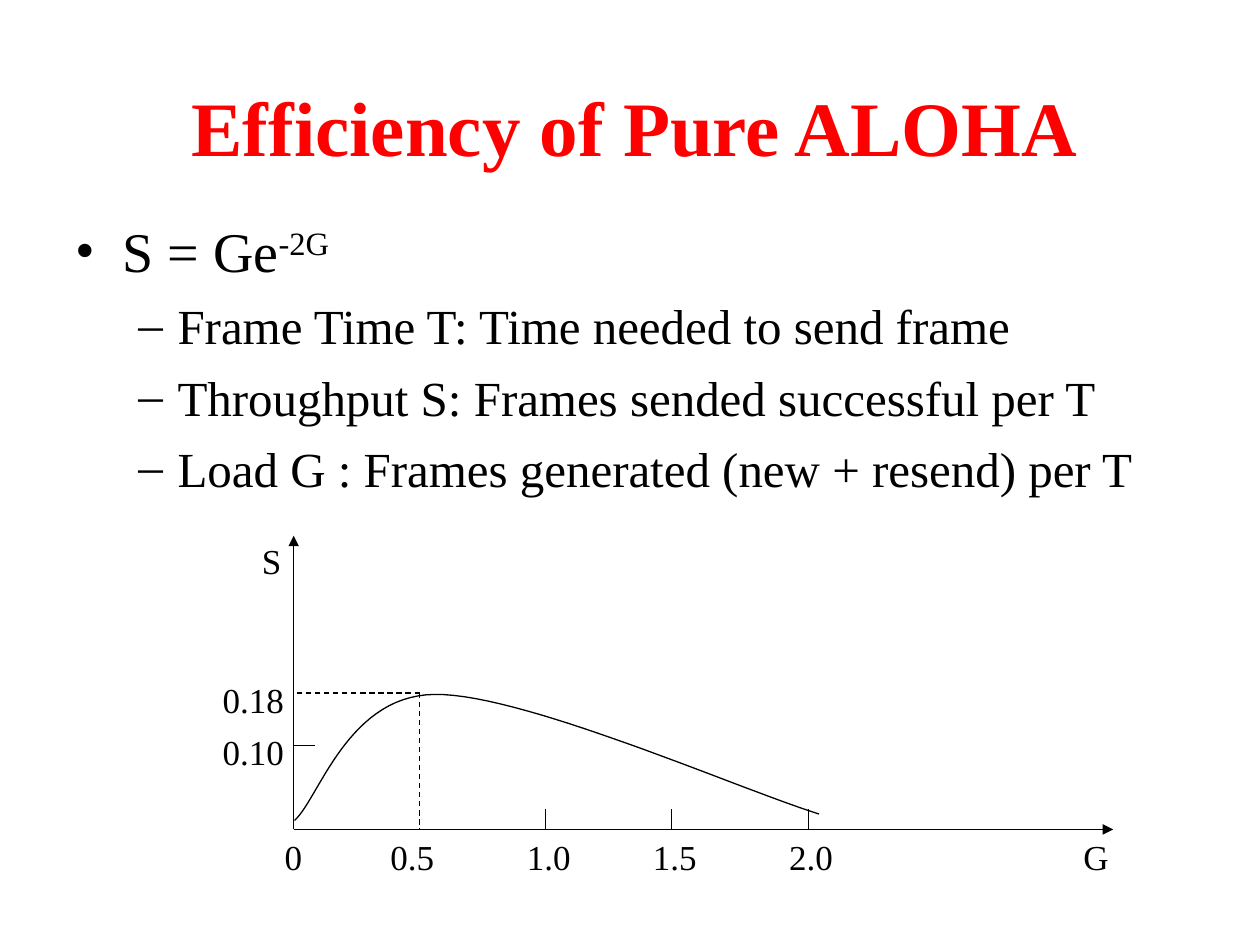
import pptx
import pptx.dml.color
import pptx.enum.dml
import pptx.enum.shapes
import pptx.enum.text
import pptx.oxml.ns
import pptx.util
from lxml import etree

Cm, Pt = pptx.util.Cm, pptx.util.Pt
qn = pptx.oxml.ns.qn
FONT, BLACK, RED = "Times New Roman", "000000", "FF0000"


def style(font, size, color=BLACK, bold=False):
    font.name, font.size, font.bold = FONT, Pt(size), bold
    font.color.rgb = pptx.dml.color.RGBColor.from_string(color)


def add_line(x1, y1, x2, y2, dashed=False, arrow=False):
    c = s.shapes.add_connector(pptx.enum.shapes.MSO_CONNECTOR.STRAIGHT,
                               Cm(x1), Cm(y1), Cm(x2), Cm(y2))
    c.line.color.rgb = pptx.dml.color.RGBColor.from_string(BLACK)
    c.line.width = Pt(0.75)
    if dashed:
        c.line.dash_style = pptx.enum.dml.MSO_LINE.DASH
    if arrow:
        etree.SubElement(c.line._get_or_add_ln(), qn("a:tailEnd"), type="triangle")
    etree.SubElement(c._element.spPr, qn("a:effectLst"))


prs = pptx.Presentation()
prs.slide_width, prs.slide_height = Cm(25.4), Cm(19.05)
s = prs.slides.add_slide(prs.slide_layouts[5])

# Title
title = s.shapes.title
title.left, title.top, title.width, title.height = Cm(1.27), Cm(1.27), Cm(23.06), Cm(2.54)
title.text_frame.text = "Efficiency of Pure ALOHA"
title.text_frame.vertical_anchor = pptx.enum.text.MSO_ANCHOR.MIDDLE
p = title.text_frame.paragraphs[0]
p.alignment = pptx.enum.text.PP_ALIGN.CENTER
style(p.runs[0].font, 44, RED, bold=True)

# Formula and definitions
tf = s.shapes.add_textbox(Cm(1.27), Cm(4.24), Cm(23.06), Cm(5.92)).text_frame
tf.word_wrap = True
tf.text = "S = Ge"
exponent = tf.paragraphs[0].add_run()
exponent.text = "-2G"
for text in ["Frame Time T: Time needed to send frame",
             "Throughput S: Frames sended successful per T",
             "Load G : Frames generated (new + resend) per T"]:
    p = tf.add_paragraph()
    p.text = text
    p.level = 1
for p in tf.paragraphs:
    size, before, margin, hang, bullet = (
        (28, 7, 2.06, 0.79, "–") if p.level else (32, 8, 0.95, 0.95, "•"))
    p.space_before = Pt(before)
    pPr = p._p.get_or_add_pPr()
    pPr.set("marL", str(Cm(margin)))
    pPr.set("indent", str(-Cm(hang)))
    etree.SubElement(pPr, qn("a:buFont"), typeface=FONT)
    etree.SubElement(pPr, qn("a:buChar"), char=bullet)
    for r in p.runs:
        style(r.font, size)
exponent.font._element.set("baseline", "30000")

# Throughput curve, a chain of two cubic Bezier segments
segments = [[(5.94, 16.54), (6.43, 16.1), (7.01, 14.02), (8.76, 14.0)],
            [(8.76, 14.0), (10.52, 13.97), (14.88, 15.9), (16.51, 16.41)]]
STEPS = 30
points = []
for a, b, c, d in segments:
    for i in range(1, STEPS + 1):
        t = i / STEPS
        u = 1 - t
        points.append(tuple(
            Cm(u**3 * a[k] + 3 * u*u*t * b[k] + 3 * u*t*t * c[k] + t**3 * d[k])
            for k in (0, 1)))
start_x, start_y = segments[0][0]
builder = s.shapes.build_freeform(Cm(start_x), Cm(start_y))
builder.add_line_segments(points, close=False)
curve = builder.convert_to_shape()
curve.shadow.inherit = False
curve.fill.background()
curve.line.color.rgb = pptx.dml.color.RGBColor.from_string(BLACK)
curve.line.width = Pt(0.75)

# Axes, guides to the peak, ticks
X0, Y0, TICK = 5.92, 16.72, 0.42
PEAK_X, PEAK_Y = 8.46, 13.97
add_line(X0, Y0, 22.44, Y0, arrow=True)
add_line(X0, Y0, X0, 10.8, arrow=True)
add_line(PEAK_X, PEAK_Y, PEAK_X, Y0, dashed=True)
add_line(PEAK_X, PEAK_Y, X0, PEAK_Y, dashed=True)
for x in (11, 13.54, 16.3):
    add_line(x, Y0, x, Y0 - TICK)
add_line(X0, 15.03, X0 + TICK, 15.03)

# Axis labels
labels = [("0", 5.49, Y0, 0.88), ("0.5", 7.62, Y0, 1.42), ("1.0", 10.37, Y0, 1.42),
          ("1.5", 12.91, Y0, 1.42), ("2.0", 15.66, Y0, 1.42), ("G", 21.59, Y0, 1.04),
          ("S", 5.03, 10.75, 0.91), ("0.18", 4.24, 13.55, 1.8), ("0.10", 4.24, 14.6, 1.8)]
for text, x, y, width in labels:
    tf = s.shapes.add_textbox(Cm(x), Cm(y), Cm(width), Cm(1.11)).text_frame
    tf.word_wrap = False
    tf.auto_size = pptx.enum.text.MSO_AUTO_SIZE.SHAPE_TO_FIT_TEXT
    tf.text = text
    style(tf.paragraphs[0].runs[0].font, 20)

prs.save("out.pptx")
